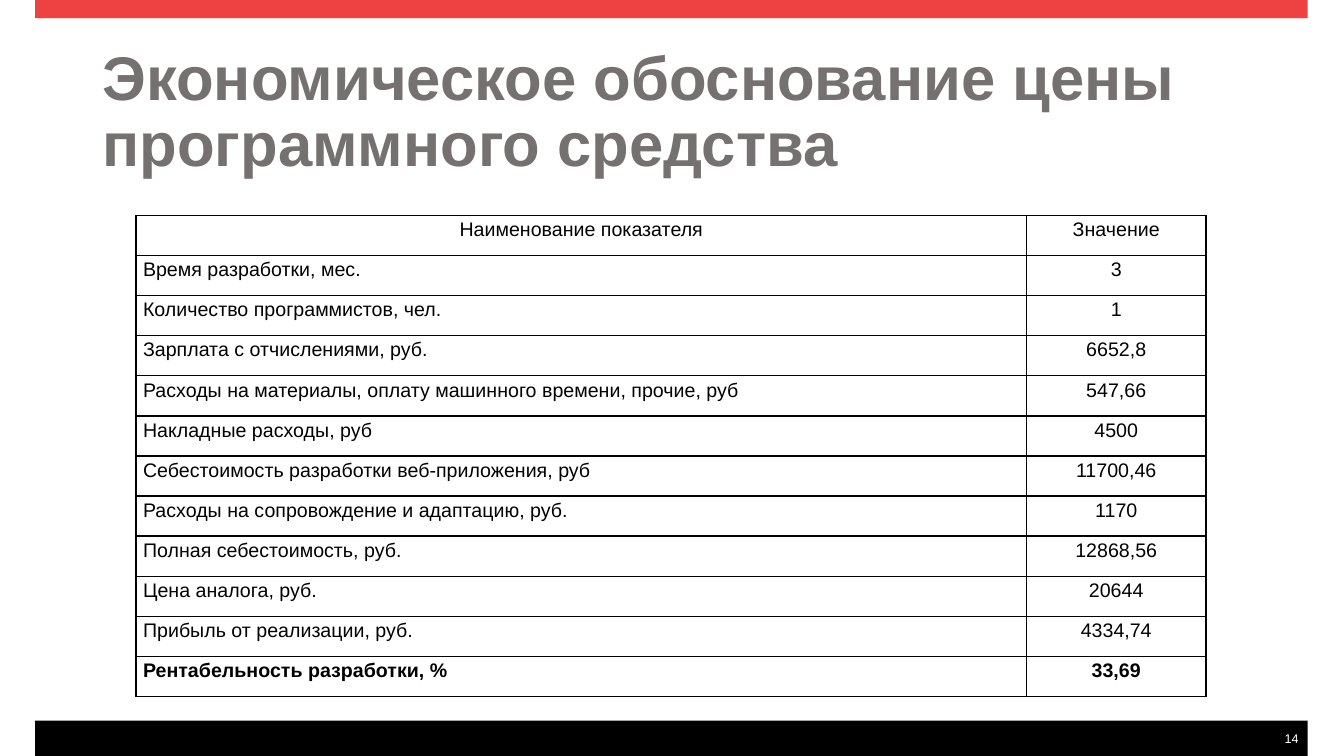
from dataclasses import dataclass

from lxml import etree
from pptx import Presentation
from pptx import util as u
from pptx.dml.color import RGBColor
from pptx.enum import shapes, text
from pptx.oxml import ns


@dataclass(frozen=True)
class Theme:
    """Colours, font and type sizes of the slide."""
    font: str = "Arial"
    red: str = "EE4242"
    black: str = "000000"
    white: str = "FFFFFF"
    grey: str = "767171"
    title_size: int = 44
    table_size: int = 14
    number_size: int = 9
    border: int = 1


THEME = Theme()
LEFT, CENTER, RIGHT = text.PP_ALIGN.LEFT, text.PP_ALIGN.CENTER, text.PP_ALIGN.RIGHT
INDICATORS = [
    ("Наименование показателя", "Значение"),
    ("Время разработки, мес.", "3"),
    ("Количество программистов, чел.", "1"),
    ("Зарплата с отчислениями, руб.", "6652,8"),
    ("Расходы на материалы, оплату машинного времени, прочие, руб", "547,66"),
    ("Накладные расходы, руб", "4500"),
    ("Себестоимость разработки веб-приложения, руб", "11700,46"),
    ("Расходы на сопровождение и адаптацию, руб.", "1170"),
    ("Полная себестоимость, руб.", "12868,56"),
    ("Цена аналога, руб.", "20644"),
    ("Прибыль от реализации, руб.", "4334,74"),
    ("Рентабельность разработки, %", "33,69"),
]


def apply(target, **values):
    """Set each named attribute on the target."""
    for name, value in values.items():
        setattr(target, name, value)


def write(frame, words, size, color, bold=False, **paragraph_format):
    """Fill a text frame with one formatted paragraph."""
    paragraph = frame.paragraphs[0]
    apply(paragraph, **paragraph_format)
    run = paragraph.add_run()
    run.text = words
    apply(run.font, name=THEME.font, size=u.Pt(size), bold=bold)
    run.font.color.rgb = RGBColor.from_string(color)


def add_bar(slide, box, color, outlined=False):
    """Draw a solid rectangle in the box."""
    shape = slide.shapes.add_shape(shapes.MSO_SHAPE.RECTANGLE, *map(u.Inches, box))
    shape.shadow.inherit = False
    shape.fill.solid()
    shape.fill.fore_color.rgb = RGBColor.from_string(color)
    if outlined:
        shape.line.color.rgb = RGBColor.from_string(color)
        shape.line.width = u.Pt(THEME.border)
    else:
        shape.line.fill.background()


def add_title(slide, box, words):
    """Place the slide title in the box."""
    frame = slide.shapes.add_textbox(*map(u.Inches, box)).text_frame
    apply(frame, word_wrap=True, vertical_anchor=text.MSO_ANCHOR.MIDDLE)
    write(frame, words, THEME.title_size, THEME.grey, bold=True, line_spacing=0.9)


def add_footer(slide, box, number):
    """Draw the footer band with the slide number at its right end."""
    left, top, width, height = box
    add_bar(slide, box, THEME.black)
    add_bar(slide, (left + 0.04, top + 0.06, width - 0.6, height - 0.12),
            THEME.black, outlined=True)
    number_box = (left + width - 0.25, top + 0.1, 0.25, 0.15)
    frame = slide.shapes.add_textbox(*map(u.Inches, number_box)).text_frame
    apply(frame, word_wrap=False, margin_left=0, margin_top=0,
          margin_right=u.Inches(0.09), margin_bottom=0)
    write(frame, number, THEME.number_size, THEME.white, alignment=RIGHT)


def add_borders(cell):
    """Outline all four sides of a table cell."""
    properties = cell._tc.get_or_add_tcPr()
    for position, side in enumerate(("lnL", "lnR", "lnT", "lnB")):
        line = etree.Element(ns.qn(f"a:{side}"), w=str(u.Pt(THEME.border)))
        fill = etree.SubElement(line, ns.qn("a:solidFill"))
        etree.SubElement(fill, ns.qn("a:srgbClr"), val=THEME.black)
        properties.insert(position, line)


def add_indicator_table(slide, box, rows, value_width):
    """Build the table of indicators with evenly spaced rows."""
    left, top, width, height = box
    table = slide.shapes.add_table(len(rows), 2, *map(u.Inches, box)).table
    apply(table, first_row=False, horz_banding=False)
    table.columns[0].width = u.Inches(width - value_width)
    table.columns[1].width = u.Inches(value_width)
    for row_index, row in enumerate(rows):
        table.rows[row_index].height = u.Inches(height / len(rows))
        for column_index, words in enumerate(row):
            cell = table.cell(row_index, column_index)
            apply(cell, margin_left=u.Inches(0.07), margin_right=u.Inches(0.07),
                  margin_top=0, margin_bottom=0)
            cell.fill.background()
            add_borders(cell)
            centered = row_index == 0 or column_index == 1
            write(cell.text_frame, words, THEME.table_size, THEME.black,
                  bold=row_index == len(rows) - 1, line_spacing=1.15,
                  alignment=CENTER if centered else LEFT)


def main():
    """Build the slide and save the presentation."""
    presentation = Presentation()
    apply(presentation, slide_width=u.Inches(13.34), slide_height=u.Inches(7.5))
    slide = presentation.slides.add_slide(presentation.slide_layouts[6])
    add_bar(slide, (0.35, 0, 12.63, 0.18), THEME.red)
    add_footer(slide, (0.35, 7.15, 12.63, 0.35), "14")
    add_title(slide, (0.92, 0.4, 11.5, 1.45),
              "Экономическое обоснование цены программного средства")
    add_indicator_table(slide, (1.35, 2.14, 10.62, 4.77), INDICATORS, 1.78)
    presentation.save("out.pptx")


if __name__ == "__main__":
    main()
